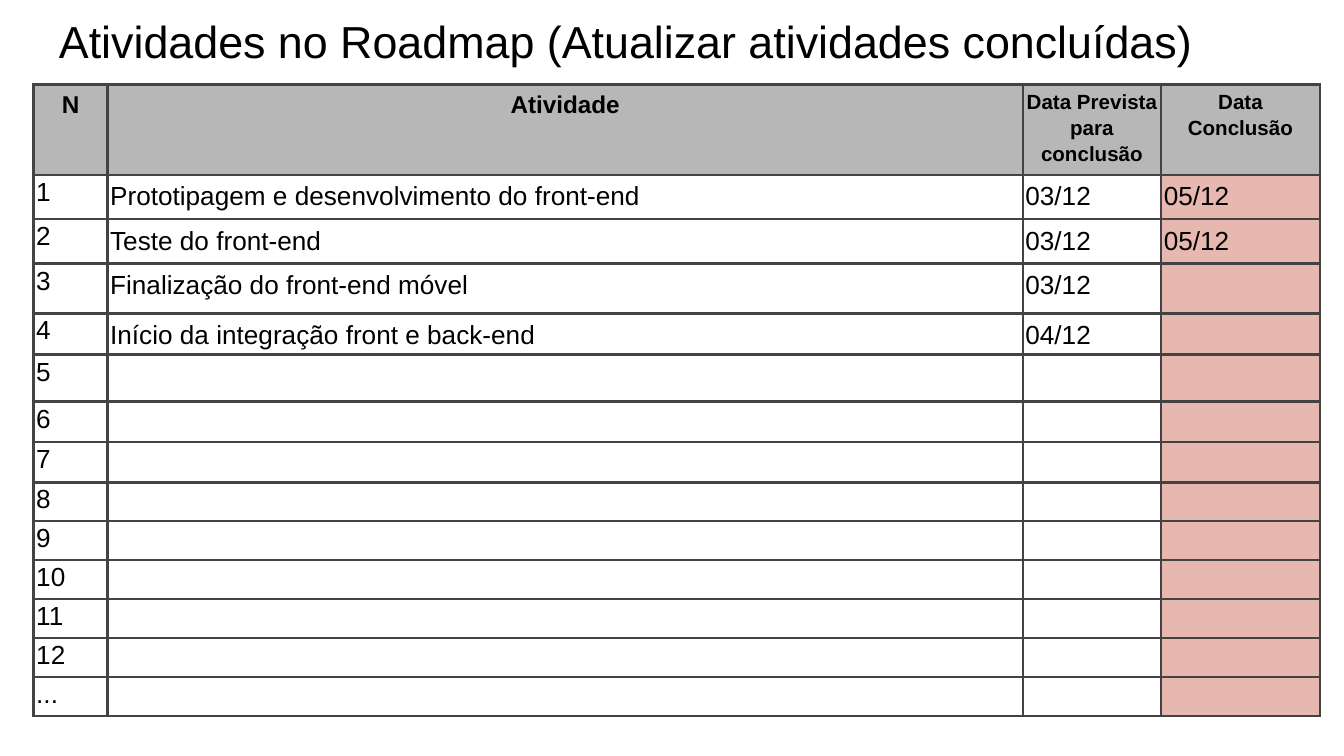
"""Build the roadmap slide with its table of activities."""
import dataclasses

import pptx
import pptx.dml.color
import pptx.enum.text
import pptx.oxml.ns
import pptx.util
from lxml import etree

INCH = pptx.util.Inches
ALIGN = pptx.enum.text.PP_ALIGN
ANCHOR = pptx.enum.text.MSO_ANCHOR
MARGINS = ("margin_left", "margin_right", "margin_top", "margin_bottom")
COLUMNS = (0.55, 6.81, 1.03, 1.18)
ROWS = (0.33, 0.33, 0.33, 0.37, 0.3, 0.35, 0.3, 0.3) + (0.29,) * 6
HEADINGS = ("N", "Atividade", "Data Prevista para conclusão", "Data Conclusão")
BLACK, GRAY, PINK, BORDER = "000000", "B7B7B7", "E6B8AF", "434343"


@dataclasses.dataclass(frozen=True)
class Activity:
    """One row of the roadmap."""

    number: str
    name: str = ""
    planned: str = ""
    finished: str = ""


@dataclasses.dataclass(frozen=True)
class Style:
    """Look of one piece of text."""

    size: float = 14
    bold: bool = False
    align: ALIGN = ALIGN.LEFT
    spacing: float = 1.15


ACTIVITIES = (
    Activity("1", "Prototipagem e desenvolvimento do front-end", "03/12", "05/12"),
    Activity("2", "Teste do front-end", "03/12", "05/12"),
    Activity("3", "Finalização do front-end móvel", "03/12"),
    Activity("4", "Início da integração front e back-end", "04/12"),
    *(Activity(str(number)) for number in range(5, 13)),
    Activity("..."),
)


def color(value: str) -> pptx.dml.color.RGBColor:
    """Turn a hex string into a colour."""
    return pptx.dml.color.RGBColor.from_string(value)


def apply(target: object, values: dict) -> None:
    """Set every attribute named in the dict."""
    for name, value in values.items():
        setattr(target, name, value)


def write(frame, text: str, style: Style) -> None:
    """Write one paragraph, or size an empty one."""
    para = frame.paragraphs[0]
    apply(para, {"alignment": style.align, "line_spacing": style.spacing})
    if not text:
        mark = etree.SubElement(para._p, pptx.oxml.ns.qn("a:endParaRPr"))
        mark.set("sz", str(style.size * 100))
        return
    span = para.add_run()
    span.text = text
    apply(span.font, {"name": "Arial", "size": pptx.util.Pt(style.size), "bold": style.bold})
    span.font.color.rgb = color(BLACK)


def draw_borders(cell) -> None:
    """Draw a line on all four sides of a cell."""
    properties = cell._tc.get_or_add_tcPr()
    for side in ("a:lnL", "a:lnR", "a:lnT", "a:lnB"):
        line = etree.SubElement(properties, pptx.oxml.ns.qn(side), w=str(pptx.util.Pt(1.5)))
        fill = etree.SubElement(line, pptx.oxml.ns.qn("a:solidFill"))
        etree.SubElement(fill, pptx.oxml.ns.qn("a:srgbClr"), val=BORDER)


def draw_cell(cell, text: str, style: Style, fill: str) -> None:
    """Draw one table cell."""
    apply(cell, dict.fromkeys(MARGINS, INCH(0.02)))
    draw_borders(cell)
    if fill:
        cell.fill.solid()
        cell.fill.fore_color.rgb = color(fill)
    else:
        cell.fill.background()
    write(cell.text_frame, text, style)


def draw_title(page, text: str) -> None:
    """Draw the slide title."""
    box = page.shapes.add_textbox(INCH(0.34), 0, INCH(9.32), INCH(0.63))
    frame = box.text_frame
    apply(frame, dict.fromkeys(MARGINS, INCH(0.1)))
    apply(frame, {"word_wrap": True, "vertical_anchor": ANCHOR.TOP})
    write(frame, text, Style(size=24, spacing=1.0))


def draw_roadmap(page) -> None:
    """Draw the table of activities."""
    table = page.shapes.add_table(
        len(ROWS), len(COLUMNS), INCH(0.25), INCH(0.63), INCH(sum(COLUMNS)), INCH(sum(ROWS))
    ).table
    apply(table, {"first_row": False, "horz_banding": False})
    for column, width in zip(table.columns, COLUMNS):
        column.width = INCH(width)
    for row, height in zip(table.rows, ROWS):
        row.height = INCH(height)
    for index, heading in enumerate(HEADINGS):
        style = Style(size=13 if index < 2 else 11, bold=True, align=ALIGN.CENTER)
        draw_cell(table.cell(0, index), heading, style, GRAY)
    for line, activity in enumerate(ACTIVITIES, start=1):
        for index, text in enumerate(dataclasses.astuple(activity)):
            style = Style(spacing=1.15 if index else 1.0)
            draw_cell(table.cell(line, index), text, style, PINK if index == 3 else "")


def main() -> None:
    """Build and save the deck."""
    deck = pptx.Presentation()
    width = INCH(10)
    apply(deck, {"slide_width": width, "slide_height": width * 9 // 16})
    page = deck.slides.add_slide(deck.slide_layouts[6])
    draw_title(page, "Atividades no Roadmap (Atualizar atividades concluídas)")
    draw_roadmap(page)
    deck.save("out.pptx")


main()
